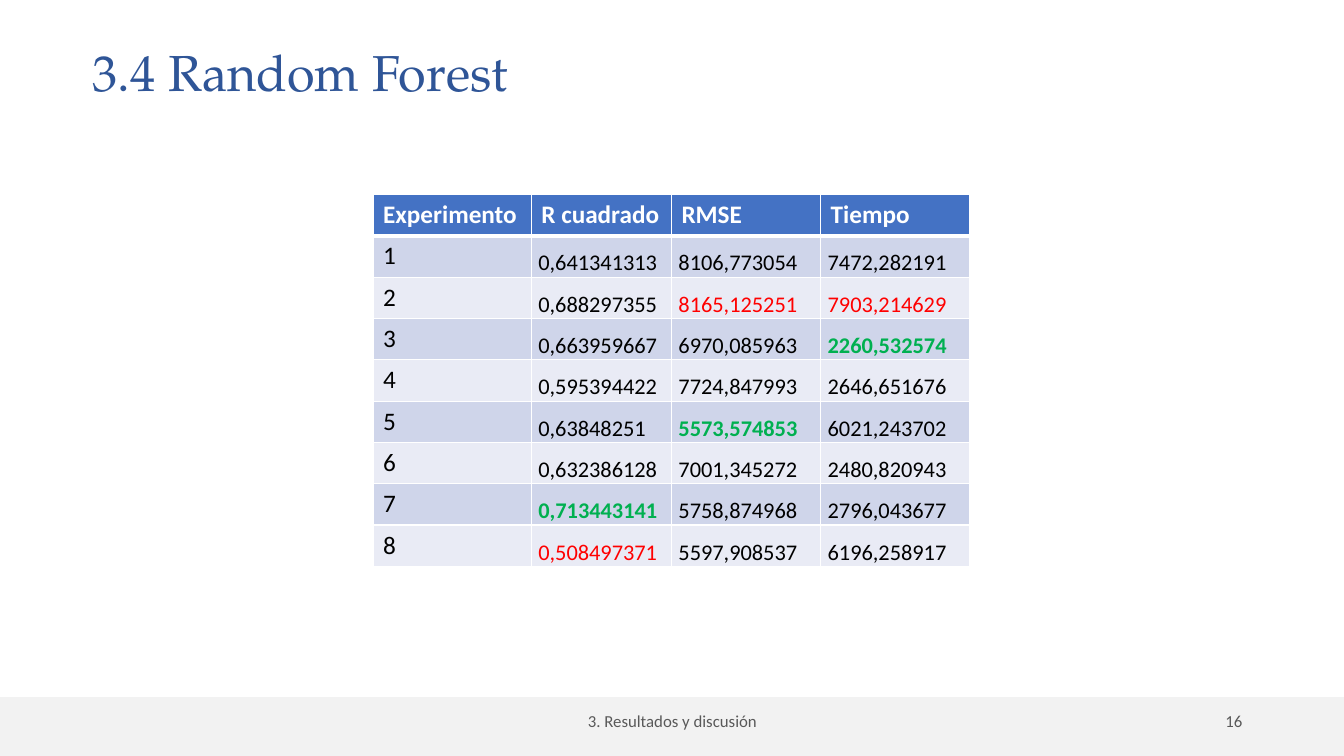
from lxml.etree import SubElement
from pptx import Presentation
from pptx.dml.color import RGBColor
from pptx.enum.shapes import MSO_SHAPE
from pptx.enum.text import MSO_ANCHOR, MSO_AUTO_SIZE, PP_ALIGN
from pptx.oxml.ns import qn
from pptx.util import Inches, Pt

WHITE = RGBColor(0xFF, 0xFF, 0xFF)
BLACK = RGBColor(0x00, 0x00, 0x00)
TITLE_BLUE = RGBColor(0x2F, 0x55, 0x97)
HEADER_BLUE = RGBColor(0x44, 0x72, 0xC4)
BAND_DARK = RGBColor(0xCF, 0xD5, 0xEA)
BAND_LIGHT = RGBColor(0xE9, 0xEB, 0xF5)
BEST_GREEN = RGBColor(0x00, 0xB0, 0x50)
WORST_RED = RGBColor(0xFF, 0x00, 0x00)
FOOTER_GRAY = RGBColor(0xF2, 0xF2, 0xF2)
FOOTER_TEXT = RGBColor(0x59, 0x59, 0x59)

TITLE_FONT = "TeX Gyre Pagella"
BODY_FONT = "Calibri"
PAGE_WIDTH, PAGE_HEIGHT = 13.33, 7.5

HEADINGS = ("Experimento", "R cuadrado", "RMSE", "Tiempo")
COLUMN_WIDTHS = (1.57, 1.39, 1.48, 1.48)
BEST_PICKERS = (max, min, min)
WORST_PICKERS = (min, max, max)
RESULTS = (
    ("0,641341313", "8106,773054", "7472,282191"),
    ("0,688297355", "8165,125251", "7903,214629"),
    ("0,663959667", "6970,085963", "2260,532574"),
    ("0,595394422", "7724,847993", "2646,651676"),
    ("0,63848251", "5573,574853", "6021,243702"),
    ("0,632386128", "7001,345272", "2480,820943"),
    ("0,713443141", "5758,874968", "2796,043677"),
    ("0,508497371", "5597,908537", "6196,258917"),
)


def add_span(para, text, size, color, bold=False, font=BODY_FONT):
    span = para.add_run()
    span.text = text
    span.font.name = font
    span.font.size = Pt(size)
    span.font.bold = bold
    span.font.color.rgb = color


def set_title(page, text, left, top, width, height):
    title = page.shapes.title
    title.left, title.top = Inches(left), Inches(top)
    title.width, title.height = Inches(width), Inches(height)
    frame = title.text_frame
    frame.auto_size = MSO_AUTO_SIZE.NONE
    frame.vertical_anchor = MSO_ANCHOR.BOTTOM
    para = frame.paragraphs[0]
    para.alignment = PP_ALIGN.LEFT
    para.line_spacing = 0.9
    add_span(para, text, 36, TITLE_BLUE, font=TITLE_FONT)


def add_label(page, text, left, top, width, height, alignment):
    box = page.shapes.add_textbox(Inches(left), Inches(top), Inches(width), Inches(height))
    frame = box.text_frame
    frame.word_wrap = True
    frame.vertical_anchor = MSO_ANCHOR.MIDDLE
    para = frame.paragraphs[0]
    para.alignment = alignment
    add_span(para, text, 12, FOOTER_TEXT)


def add_footer(page, section, number, top, height):
    band = page.shapes.add_shape(
        MSO_SHAPE.RECTANGLE, 0, Inches(top), Inches(PAGE_WIDTH), Inches(height))
    band.shadow.inherit = False
    band.fill.solid()
    band.fill.fore_color.rgb = FOOTER_GRAY
    band.line.color.rgb = FOOTER_GRAY
    band.line.width = Pt(1)
    label_top = top + 0.03
    add_label(page, section, 4.42, label_top, 4.5, 0.4, PP_ALIGN.CENTER)
    add_label(page, number, 9.42, label_top, 3, 0.4, PP_ALIGN.RIGHT)


def style_cell(cell, fill, top=1, bottom=1):
    """Draw white borders, with widths in points, then fill the cell."""
    properties = cell._tc.get_or_add_tcPr()
    for side, width in (("L", 1), ("R", 1), ("T", top), ("B", bottom)):
        border = SubElement(properties, qn(f"a:ln{side}"), w=str(Pt(width)))
        solid = SubElement(border, qn("a:solidFill"))
        SubElement(solid, qn("a:srgbClr"), val=str(WHITE))
    cell.fill.solid()
    cell.fill.fore_color.rgb = fill


def fill_value_cell(cell, text, color, bold):
    cell.margin_left = cell.margin_right = Inches(0.07)
    cell.margin_top = cell.margin_bottom = 0
    para = cell.text_frame.paragraphs[0]
    para.alignment = PP_ALIGN.JUSTIFY
    para.line_spacing = 1.5
    add_span(para, text, 16, color, bold)


def as_number(text):
    return float(text.replace(",", "."))


def add_results_table(page, left, top, row_height):
    """Show every experiment, with the best value of a column green and the worst red."""
    row_count = len(RESULTS) + 1
    table = page.shapes.add_table(
        row_count, len(HEADINGS), Inches(left), Inches(top),
        Inches(sum(COLUMN_WIDTHS)), Inches(row_height * row_count)).table
    for column, width in zip(table.columns, COLUMN_WIDTHS):
        column.width = Inches(width)
    for row in table.rows:
        row.height = Inches(row_height)

    for index, heading in enumerate(HEADINGS):
        cell = table.cell(0, index)
        style_cell(cell, HEADER_BLUE, bottom=3)
        add_span(cell.text_frame.paragraphs[0], heading, 18, WHITE, True)

    columns = list(zip(*RESULTS))
    best = [pick(column, key=as_number) for pick, column in zip(BEST_PICKERS, columns)]
    worst = [pick(column, key=as_number) for pick, column in zip(WORST_PICKERS, columns)]
    for number, values in enumerate(RESULTS, start=1):
        band = BAND_DARK if number % 2 else BAND_LIGHT
        for cell in table.rows[number].cells:
            style_cell(cell, band, top=3 if number == 1 else 1)
        add_span(table.cell(number, 0).text_frame.paragraphs[0], str(number), 18, BLACK)
        for index, value in enumerate(values):
            is_best = value == best[index]
            color = BEST_GREEN if is_best else WORST_RED if value == worst[index] else BLACK
            fill_value_cell(table.cell(number, index + 1), value, color, is_best)


def main():
    deck = Presentation()
    deck.slide_width, deck.slide_height = Inches(PAGE_WIDTH), Inches(PAGE_HEIGHT)
    page = deck.slides.add_slide(deck.slide_layouts[5])
    set_title(page, "3.4 Random Forest", 0.82, 0.37, 11.4, 0.7)
    add_footer(page, "3. Resultados y discusión", "16", 6.92, 0.58)
    add_results_table(page, 3.7, 1.93, 0.41)
    deck.save("out.pptx")


if __name__ == "__main__":
    main()
